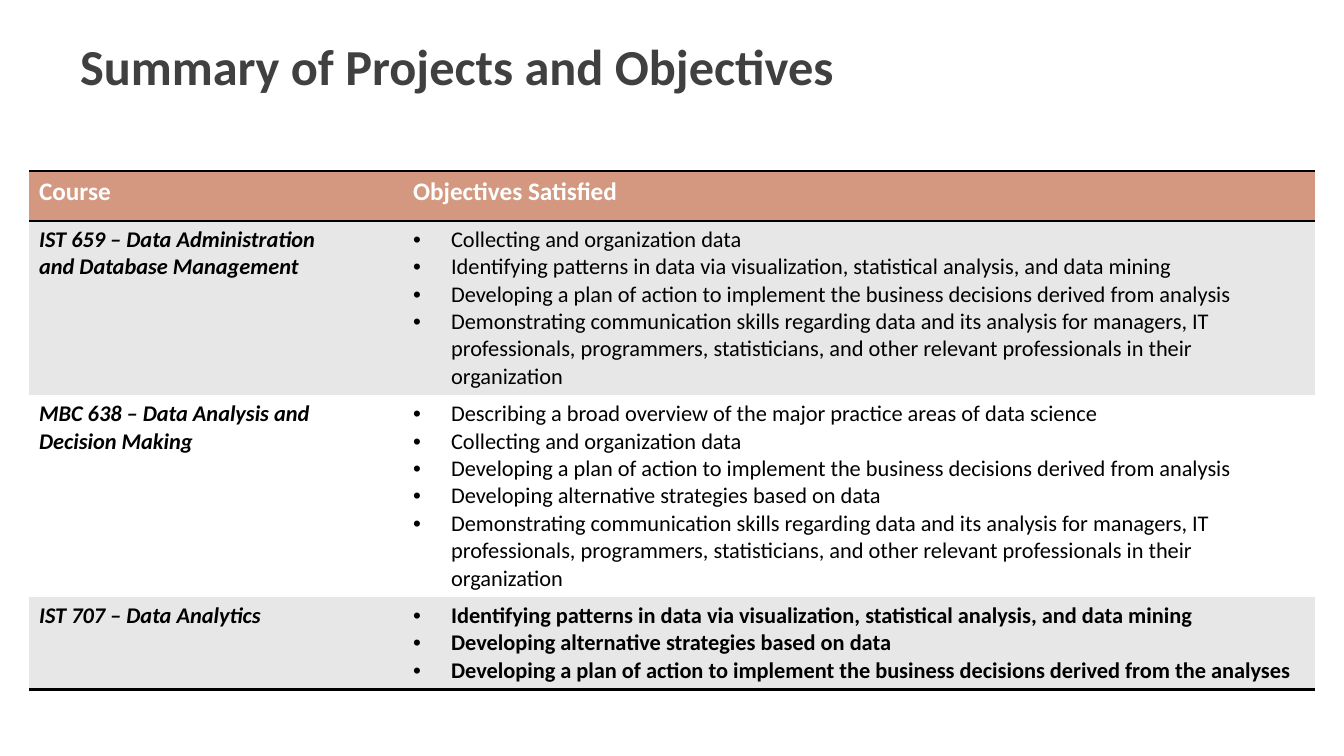
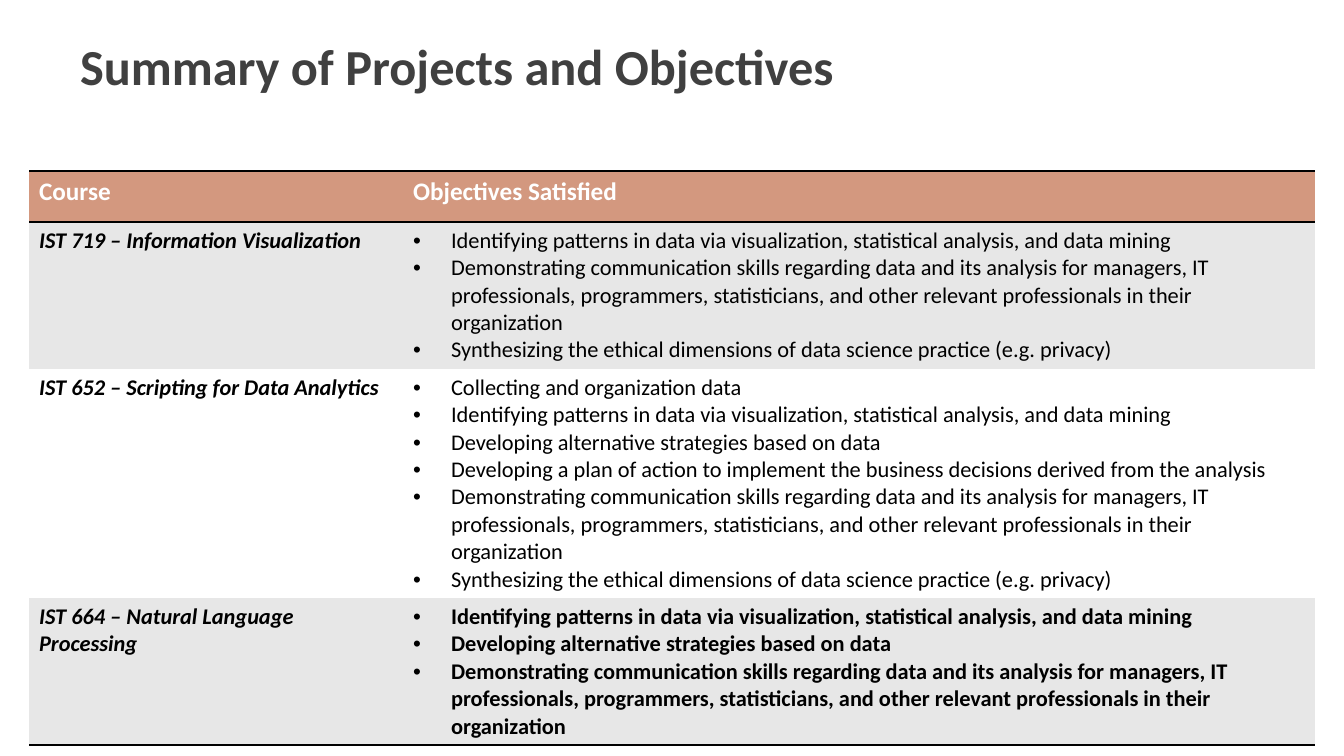
from lxml.etree import SubElement
from pptx import Presentation
from pptx.dml.color import RGBColor
from pptx.enum.text import MSO_ANCHOR, MSO_AUTO_SIZE, PP_ALIGN
from pptx.oxml.ns import qn
from pptx.util import Pt

SCALE = 914400 / 100.8
FONT = "Calibri"
PLAIN = "{2D5ABB26-0587-4C30-8999-92F81FD0307C}"
COLORS = {
    "title": "404040",
    "head": "D3987F",
    "band": "E7E7E7",
    "white": "FFFFFF",
    "black": "000000",
}

COLLECT = "Collecting and organization data"
SPOT = "Identifying patterns in data via visualization, statistical analysis, and data mining"
PLAN = "Developing a plan of action to implement the business decisions derived from "
SHARE = (
    "Demonstrating communication skills regarding data and its analysis for managers, IT \v"
    "professionals, programmers, statisticians, and other relevant professionals in their organization"
)
VIEW = "Describing a broad overview of the major practice areas of data science"
OPTION = "Developing alternative strategies based on data"
ETHIC = "Synthesizing the ethical dimensions of data science practice (e.g. privacy)"

TITLE = "Summary of Projects and Objectives"
HEADS = ("Course", "Objectives Satisfied")
WIDTHS = (374, 912)
PAGES = [
    ((50, 156, 182, 90), [
        ("IST 659 – Data Administration \vand Database Management",
         [COLLECT, SPOT, PLAN + "analysis", SHARE]),
        ("MBC 638 – Data Analysis and \vDecision Making",
         [VIEW, COLLECT, PLAN + "analysis", OPTION, SHARE]),
        ("IST 707 – Data Analytics",
         [SPOT, OPTION, PLAN + "the analyses"]),
    ]),
    ((51, 123, 174, 65), [
        ("IST 719 – Information Visualization",
         [SPOT, SHARE, ETHIC]),
        ("IST 652 – Scripting for Data Analytics",
         [COLLECT, SPOT, OPTION, PLAN + "the analysis", SHARE, ETHIC]),
        ("IST 664 – Natural Language Processing",
         [SPOT, OPTION, SHARE]),
    ]),
]


def px(size):
    return round(size * SCALE)


def color(name):
    return RGBColor.from_string(COLORS[name])


class Deck:
    def __init__(self):
        self.show = Presentation()
        self.show.slide_width, self.show.slide_height = px(1344), px(756)
        self.slide = None

    def page(self, title):
        self.slide = self.show.slides.add_slide(self.show.slide_layouts[5])
        box = self.slide.shapes.title
        box.left, box.top, box.width, box.height = map(px, (69, 21, 850, 88))
        frame = box.text_frame
        frame.text = title
        frame.word_wrap = True
        frame.auto_size = MSO_AUTO_SIZE.NONE
        frame.vertical_anchor = MSO_ANCHOR.MIDDLE
        frame.margin_left = frame.margin_right = px(11)
        frame.paragraphs[0].alignment = PP_ALIGN.LEFT
        self.style(frame, 36, "title", bold=True)

    def style(self, frame, size, tint, bold=False, slant=False):
        for para in frame.paragraphs:
            for run in para.runs:
                font = run.font
                font.name, font.size = FONT, Pt(size)
                font.bold, font.italic = bold, slant
                font.color.rgb = color(tint)
            for gap in para._p.findall(qn("a:br")):
                SubElement(gap, qn("a:rPr"), sz=str(size * 100))

    def bullet(self, frame):
        for para in frame.paragraphs:
            props = para._p.get_or_add_pPr()
            props.set("marL", str(px(38)))
            props.set("indent", str(-px(38)))
            SubElement(props, qn("a:buFont"), typeface="Arial")
            SubElement(props, qn("a:buChar"), char="•")

    def rule(self, cell, side):
        props = cell._tc.get_or_add_tcPr()
        line = SubElement(props, qn("a:ln" + side), w=str(Pt(2)))
        fill = SubElement(line, qn("a:solidFill"))
        SubElement(fill, qn("a:srgbClr"), val=COLORS["black"])

    def cell(self, cell, text, fill, sides=""):
        cell.text_frame.text = text
        for side in sides:
            self.rule(cell, side)
        cell.fill.solid()
        cell.fill.fore_color.rgb = color(fill)
        return cell.text_frame

    def table(self, heads, rows, widths, heights):
        grid = self.slide.shapes.add_table(
            len(heights), len(widths), px(29), px(171),
            px(sum(widths)), px(sum(heights))).table
        props = grid._tbl.tblPr
        props.find(qn("a:tableStyleId")).text = PLAIN
        grid.horz_banding = False
        for col, width in zip(grid.columns, widths):
            col.width = px(width)
        for row, height in zip(grid.rows, heights):
            row.height = px(height)
        for col, text in enumerate(heads):
            frame = self.cell(grid.cell(0, col), text, "head", "TB")
            self.style(frame, 18, "white", bold=True)
        for row, (course, goals) in enumerate(rows, 1):
            last = row == len(rows)
            fill = "band" if row % 2 else "white"
            sides = "B" if last else ""
            frame = self.cell(grid.cell(row, 0), course, fill, sides)
            self.style(frame, 16, "black", bold=True, slant=True)
            frame = self.cell(grid.cell(row, 1), "\n".join(goals), fill, sides)
            self.bullet(frame)
            self.style(frame, 16, "black", bold=last)


def main():
    deck = Deck()
    for heights, rows in PAGES:
        deck.page(TITLE)
        deck.table(HEADS, rows, WIDTHS, heights)
    deck.show.save("out.pptx")


if __name__ == "__main__":
    main()
